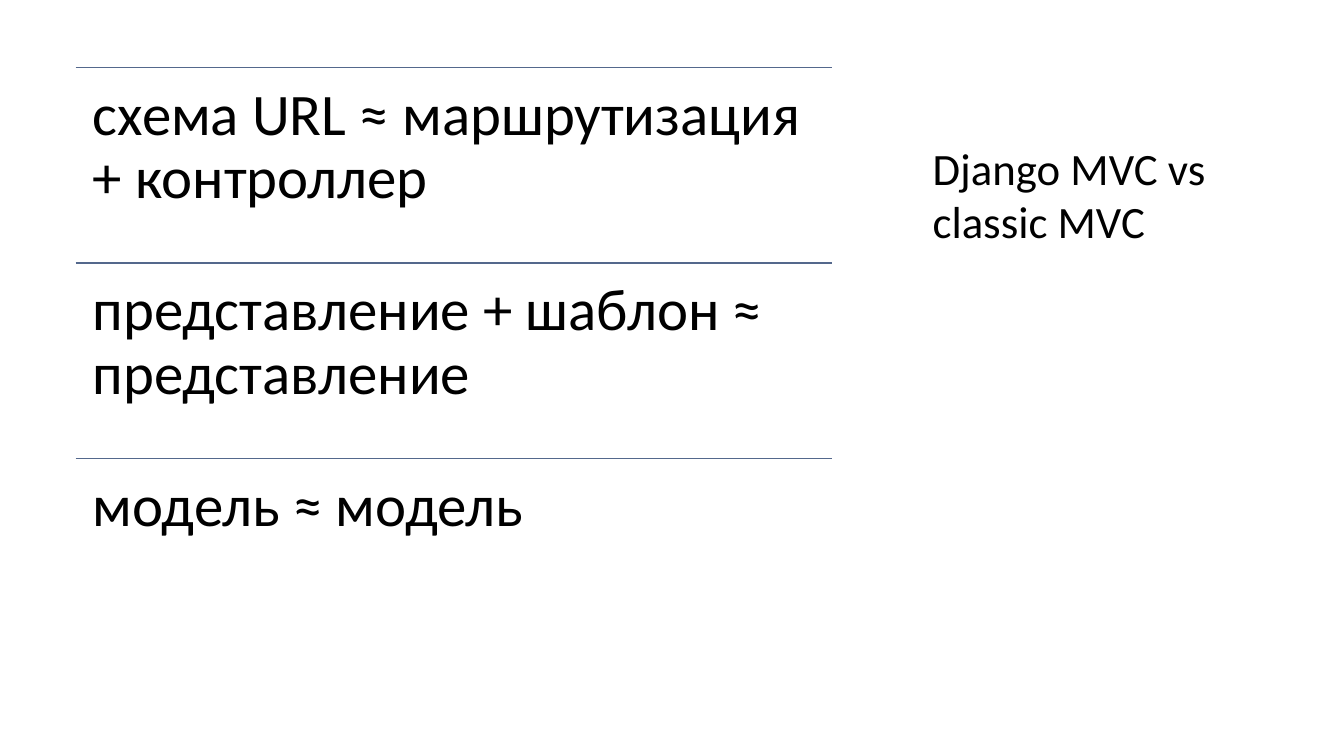
from pptx import Presentation
from pptx.dml.color import RGBColor
from pptx.enum.shapes import MSO_CONNECTOR
from pptx.enum.text import MSO_ANCHOR, PP_ALIGN
from pptx.oxml.ns import qn
from pptx.util import Pt
from lxml.etree import SubElement

PX = 9144  # EMU per px, 100 px to the inch
BLACK = RGBColor(0x00, 0x00, 0x00)
RULE_BLUE = RGBColor(0x54, 0x68, 0x8C)
FONT = "Calibri"

TITLE = "Django MVC vs classic MVC"
MATCHES = [
    "схема URL ≈ маршрутизация + контроллер",
    "представление + шаблон ≈ представление",
    "модель ≈ модель",
]


def add_text(page, box, text, size, inset, anchor, line_spacing):
    left, top, width, height = (value * PX for value in box)
    frame = page.shapes.add_textbox(left, top, width, height).text_frame
    frame.word_wrap = True
    frame.vertical_anchor = anchor
    frame.margin_left = frame.margin_right = inset * PX
    frame.margin_top = frame.margin_bottom = inset * PX
    para = frame.paragraphs[0]
    para.alignment = PP_ALIGN.LEFT
    para.line_spacing = line_spacing
    span = para.add_run()
    span.text = text
    span.font.name = FONT
    span.font.size = Pt(size)
    span.font.color.rgb = BLACK


def add_rule(page, left, top, width):
    rule = page.shapes.add_connector(
        MSO_CONNECTOR.STRAIGHT, left * PX, top * PX, (left + width) * PX, top * PX)
    rule.line.color.rgb = RULE_BLUE
    rule.line.width = Pt(1)
    SubElement(rule._element.spPr, qn("a:effectLst"))


def add_title(page, box):
    add_text(page, box, TITLE, 32, 0, MSO_ANCHOR.BOTTOM, 1.0)


def add_match_list(page, box):
    left, top, width, height = box
    row_height = height // len(MATCHES)
    for index, match in enumerate(MATCHES):
        row_top = top + index * row_height
        add_rule(page, left, row_top, width)
        add_text(page, (left, row_top, width, row_height), match,
                 42, 17, MSO_ANCHOR.TOP, 0.9)


def main():
    deck = Presentation()
    deck.slide_width, deck.slide_height = 1333 * PX, 750 * PX
    page = deck.slides.add_slide(deck.slide_layouts[6])
    # Heading on the right
    add_title(page, (925, 66, 346, 180))
    # Ruled rows on the left
    add_match_list(page, (75, 67, 750, 582))
    deck.save("out.pptx")


if __name__ == "__main__":
    main()
